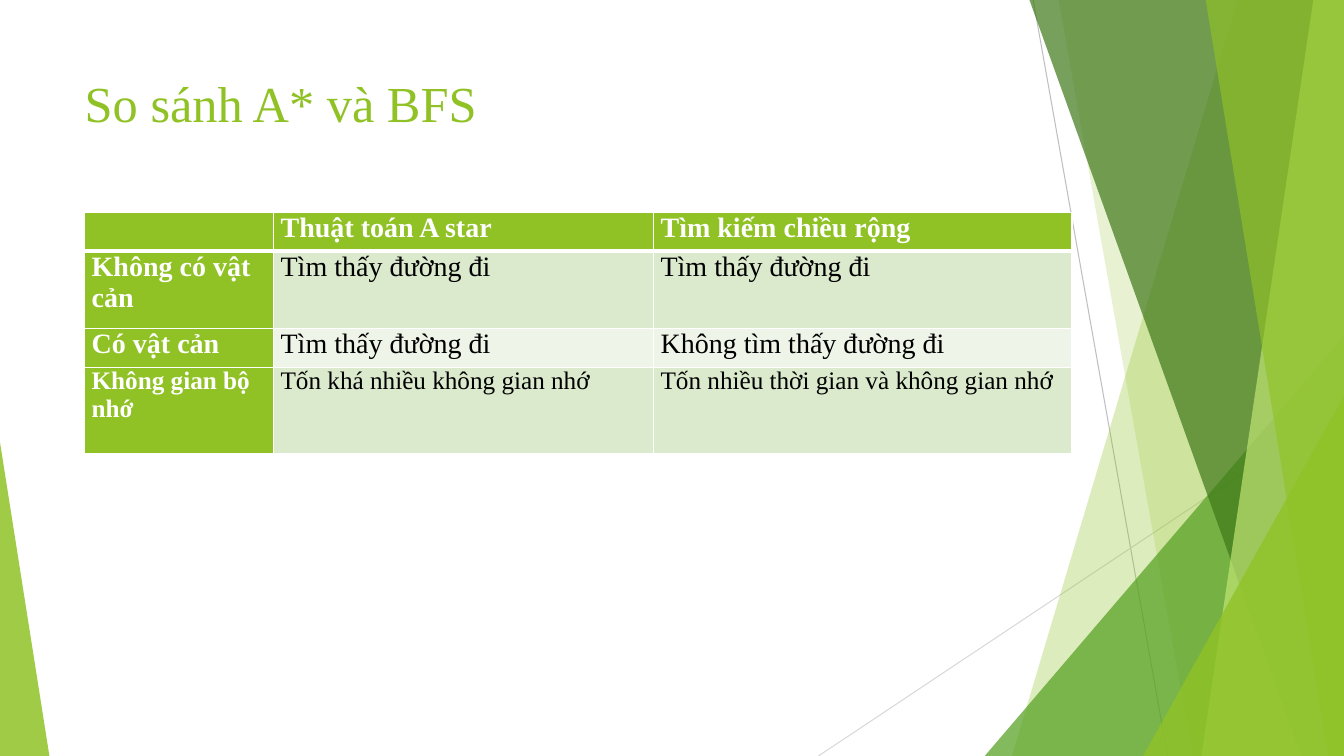
from lxml import etree
from pptx import Presentation
from pptx.dml.color import RGBColor
from pptx.enum import shapes as kinds
from pptx.oxml import ns
from pptx.util import Pt

LIME = RGBColor(0x90, 0xC2, 0x26)
GREEN = RGBColor(0x54, 0xA0, 0x21)
DARK = RGBColor(0x3F, 0x78, 0x19)
PALE = RGBColor(0xC0, 0xE4, 0x74)
GREY = RGBColor(0xBF, 0xBF, 0xBF)
SILVER = RGBColor(0xD9, 0xD9, 0xD9)
MINT = RGBColor(0xDB, 0xE9, 0xCD)
MIST = RGBColor(0xEE, 0xF4, 0xE8)
WHITE = RGBColor(0xFF, 0xFF, 0xFF)
BLACK = RGBColor(0, 0, 0)
WIDE, HIGH = 960, 540
TOP = -0.7


def paint(shape, color, alpha):
    """Fill without outline or shadow; alpha is opacity in percent."""
    shape.shadow.inherit = False
    shape.line.fill.background()
    shape.fill.solid()
    shape.fill.fore_color.rgb = color
    tint = shape.fill._xPr.find(".//" + ns.qn("a:srgbClr"))
    etree.SubElement(tint, ns.qn("a:alpha"), val=str(alpha * 1000))


def write(frame, words, size, color, bold=False):
    run = frame.paragraphs[0].add_run()
    run.text = words
    looks = {"name": "Times New Roman", "size": Pt(size), "bold": bold}
    for key, value in looks.items():
        setattr(run.font, key, value)
    run.font.color.rgb = color


deck = Presentation()
deck.slide_width, deck.slide_height = Pt(WIDE), Pt(HIGH)
slide = deck.slides.add_slide(deck.slide_layouts[6])

# Thin background lines
for x1, y1, x2, y2, color in [
    (738, 0, 834, HIGH, GREY),
    (WIDE, 290, 584.6, HIGH, SILVER),
]:
    line = slide.shapes.add_connector(
        kinds.MSO_CONNECTOR.STRAIGHT, Pt(x1), Pt(y1), Pt(x2), Pt(y2))
    line.line.color.rgb = color
    line.line.width = Pt(0.75)
    etree.SubElement(line._element.spPr, ns.qn("a:effectLst"))

# Bands run to the right edge: (upper x, lower x)
# Triangles stand on the lower edge: (left, top, width, apex)
for place, color, alpha in [
    ((884.2, 722.9), LIME, 30),
    ((756, 851.8), LIME, 20),
    ((703.4, 240, 256.6, 1), GREEN, 72),
    ((735.1, 929.5), DARK, 70),
    ((938.2, 858.2), PALE, 70),
    ((861.1, 949), LIME, 65),
    ((816.5, 283, 143.5, 1), LIME, 80),
    ((0, 316, 35.3, 0), LIME, 85),
]:
    if len(place) == 2:
        upper, lower = place
        path = slide.shapes.build_freeform(Pt(upper), Pt(TOP))
        path.add_line_segments(
            [(Pt(x), Pt(y)) for x, y in
             [(WIDE, TOP), (WIDE, HIGH), (lower, HIGH)]], close=True)
        facet = path.convert_to_shape()
    else:
        left, top, width, apex = place
        facet = slide.shapes.add_shape(
            kinds.MSO_SHAPE.ISOSCELES_TRIANGLE,
            Pt(left), Pt(top), Pt(width), Pt(HIGH - top))
        facet.adjustments[0] = apex
    paint(facet, color, alpha)

title = slide.shapes.add_textbox(Pt(53.4), Pt(48), Pt(677), Pt(104))
title.text_frame.word_wrap = True
write(title.text_frame, "So sánh A* và BFS", 36, LIME)

# Comparison table
rows = [
    ("", "Thuật toán A star", "Tìm kiếm chiều rộng"),
    ("Không có vật cản", "Tìm thấy đường đi", "Tìm thấy đường đi"),
    ("Có vật cản", "Tìm thấy đường đi", "Không tìm thấy đường đi"),
    ("Không gian bộ nhớ", "Tốn khá nhiều không gian nhớ",
     "Tốn nhiều thời gian và không gian nhớ"),
]
widths = [135, 271.4, 298.8]
heights = [27.4, 55.4, 27.6, 61.4]
sizes = [20, 20, 20, 18]
table = slide.shapes.add_table(
    len(rows), len(widths), Pt(60.5), Pt(152),
    Pt(sum(widths)), Pt(sum(heights))).table
table.first_row = table.horz_banding = False
for column, width in zip(table.columns, widths):
    column.width = Pt(width)
for r, words in enumerate(rows):
    table.rows[r].height = Pt(heights[r])
    for c, word in enumerate(words):
        cell = table.cell(r, c)
        cell.margin_left = cell.margin_right = Pt(5)
        cell.margin_top = cell.margin_bottom = 0
        for side in "LRTB":
            thick = 3 if (r, side) in [(0, "B"), (1, "T")] else 1
            edge = etree.SubElement(
                cell._tc.get_or_add_tcPr(), ns.qn("a:ln" + side),
                w=str(Pt(thick)))
            fill = etree.SubElement(edge, ns.qn("a:solidFill"))
            etree.SubElement(fill, ns.qn("a:srgbClr"), val=str(WHITE))
        head = r == 0 or c == 0
        cell.fill.solid()
        cell.fill.fore_color.rgb = LIME if head else MINT if r % 2 else MIST
        if word:
            write(cell.text_frame, word, sizes[r],
                  WHITE if head else BLACK, head)

deck.save("out.pptx")
